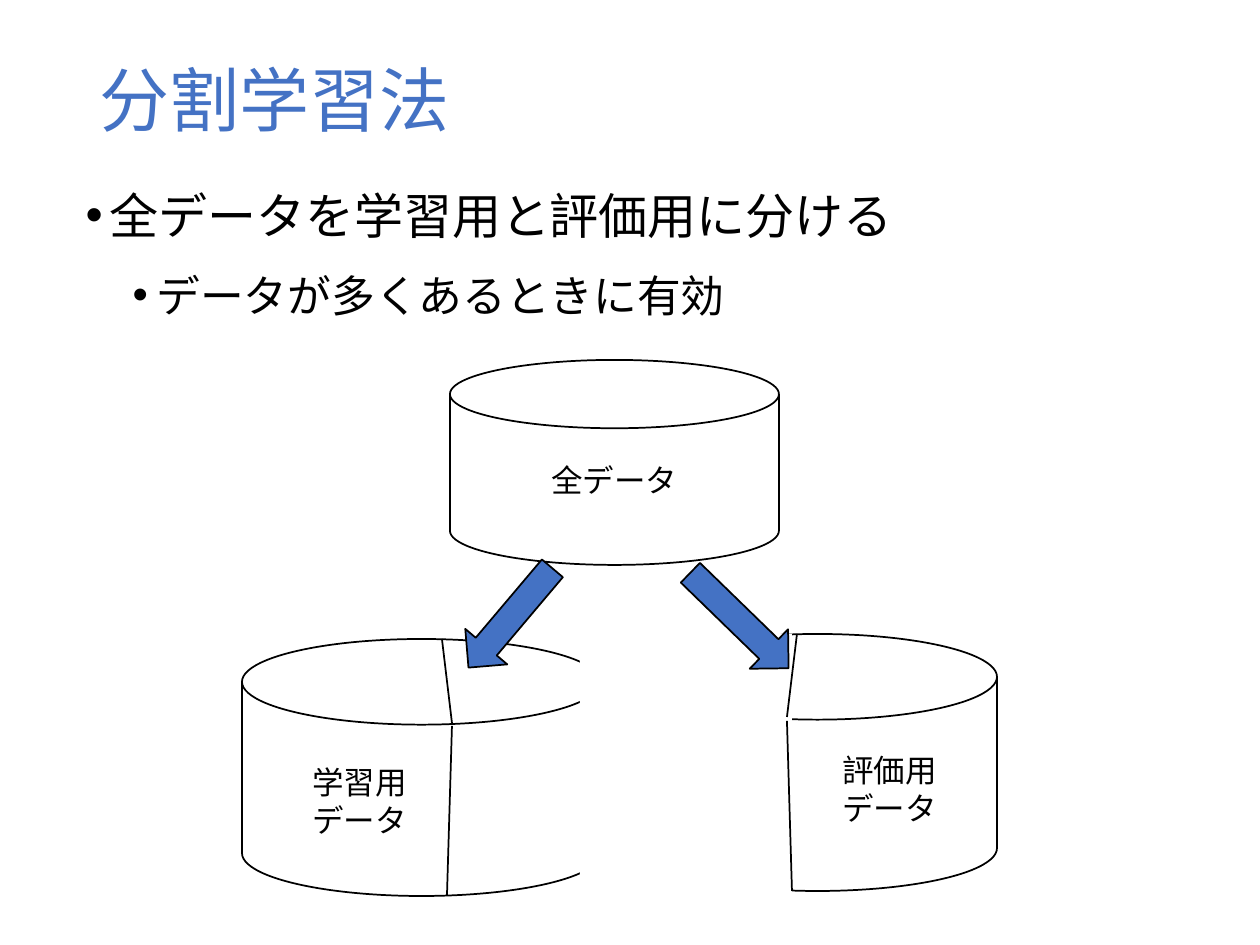
"""Build a slide on splitting data into training and evaluation sets."""
from lxml.etree import SubElement
from pptx import Presentation
from pptx.dml.color import RGBColor
from pptx.enum.shapes import MSO_CONNECTOR, MSO_SHAPE
from pptx.enum.text import MSO_ANCHOR, MSO_AUTO_SIZE, PP_ALIGN
from pptx.oxml.ns import qn
from pptx.util import Emu, Pt

BLACK = RGBColor(0x00, 0x00, 0x00)
WHITE = RGBColor(0xFF, 0xFF, 0xFF)
BLUE = RGBColor(0x44, 0x72, 0xC4)
FONT = "Noto Sans CJK JP"
SCALE = 914400 // 126

TITLE = "分割学習法"
BULLETS = [
    ("全データを学習用と評価用に分ける", 28, 7.5, 24, 24),
    ("データが多くあるときに有効", 25, 3.8, 71, 24),
]
ALL_DATA = ("全データ", (450, 360, 329, 205))
HALF_DISKS = [(242, 639, 359, 257), (638, 634, 359, 257)]
COVER = (580, 634, 212, 281)
CUTS = [
    (442, 639, 452, 723), (452, 726, 447, 896),
    (797, 634, 787, 717), (787, 721, 792, 891),
]
LABELS = [
    (["学習用", "データ"], (300, 757, 121, 89)),
    (["評価用", "データ"], (830, 745, 121, 89)),
]
ARROWS = [((483, 553, 55, 130), 40.2), ((712, 552, 55, 137), 314.2)]


def px(*values):
    return [Emu(v * SCALE) for v in values]


def place(shape, box):
    shape.left, shape.top, shape.width, shape.height = px(*box)


def write(p, text, size=18, color=BLACK, align=PP_ALIGN.LEFT):
    p.alignment = align
    r = p.add_run()
    r.text = text
    r.font.size = Pt(size)
    r.font.name = FONT
    r.font.color.rgb = color
    SubElement(r.font._element, qn("a:ea")).set("typeface", FONT)


def add_part(kind, box, fill=None, line=BLACK, rotation=0):
    sp = s.shapes.add_shape(kind, *px(*box))
    sp.shadow.inherit = False
    sp.rotation = rotation
    if fill is None:
        sp.fill.background()
    else:
        sp.fill.solid()
        sp.fill.fore_color.rgb = fill
    if line is None:
        sp.line.fill.background()
    else:
        sp.line.color.rgb = line
        sp.line.width = Pt(1)
    return sp


def add_cut(ends):
    line = s.shapes.add_connector(MSO_CONNECTOR.STRAIGHT, *px(*ends))
    line.line.color.rgb = BLACK
    line.line.width = Pt(1)
    SubElement(line._element.spPr, qn("a:effectLst"))


prs = Presentation()
prs.slide_width, prs.slide_height = px(1260, 945)
s = prs.slides.add_slide(prs.slide_layouts[1])

title = s.shapes.title
place(title, (87, 50, 1086, 108))
tf = title.text_frame
tf.auto_size = MSO_AUTO_SIZE.NONE
tf.vertical_anchor = MSO_ANCHOR.MIDDLE
tf.paragraphs[0].line_spacing = 0.9
write(tf.paragraphs[0], TITLE, size=40, color=BLUE)

body = s.placeholders[1]
place(body, (73, 168, 1115, 638))
tf = body.text_frame
tf.auto_size = MSO_AUTO_SIZE.NONE
for level, (text, size, before, margin, hang) in enumerate(BULLETS):
    p = tf.add_paragraph() if level else tf.paragraphs[0]
    p.level = level
    p.line_spacing = Pt(40)
    p.space_before = Pt(before)
    pPr = p._p.get_or_add_pPr()
    pPr.set("marL", str(margin * SCALE))
    pPr.set("indent", str(-hang * SCALE))
    SubElement(pPr, qn("a:buFont")).set("typeface", "Arial")
    SubElement(pPr, qn("a:buChar")).set("char", "•")
    write(p, text, size=size)

text, box = ALL_DATA
disk = add_part(MSO_SHAPE.FLOWCHART_MAGNETIC_DISK, box)
disk.text_frame.vertical_anchor = MSO_ANCHOR.MIDDLE
write(disk.text_frame.paragraphs[0], text, align=PP_ALIGN.CENTER)

for box in HALF_DISKS:
    add_part(MSO_SHAPE.FLOWCHART_MAGNETIC_DISK, box)
add_part(MSO_SHAPE.RECTANGLE, COVER, fill=WHITE, line=None)
for ends in CUTS:
    add_cut(ends)

for lines, box in LABELS:
    tf = s.shapes.add_textbox(*px(*box)).text_frame
    tf.word_wrap = False
    for i, text in enumerate(lines):
        write(tf.add_paragraph() if i else tf.paragraphs[0], text)

for box, rotation in ARROWS:
    add_part(MSO_SHAPE.DOWN_ARROW, box, fill=BLUE, rotation=rotation)

prs.save("out.pptx")
